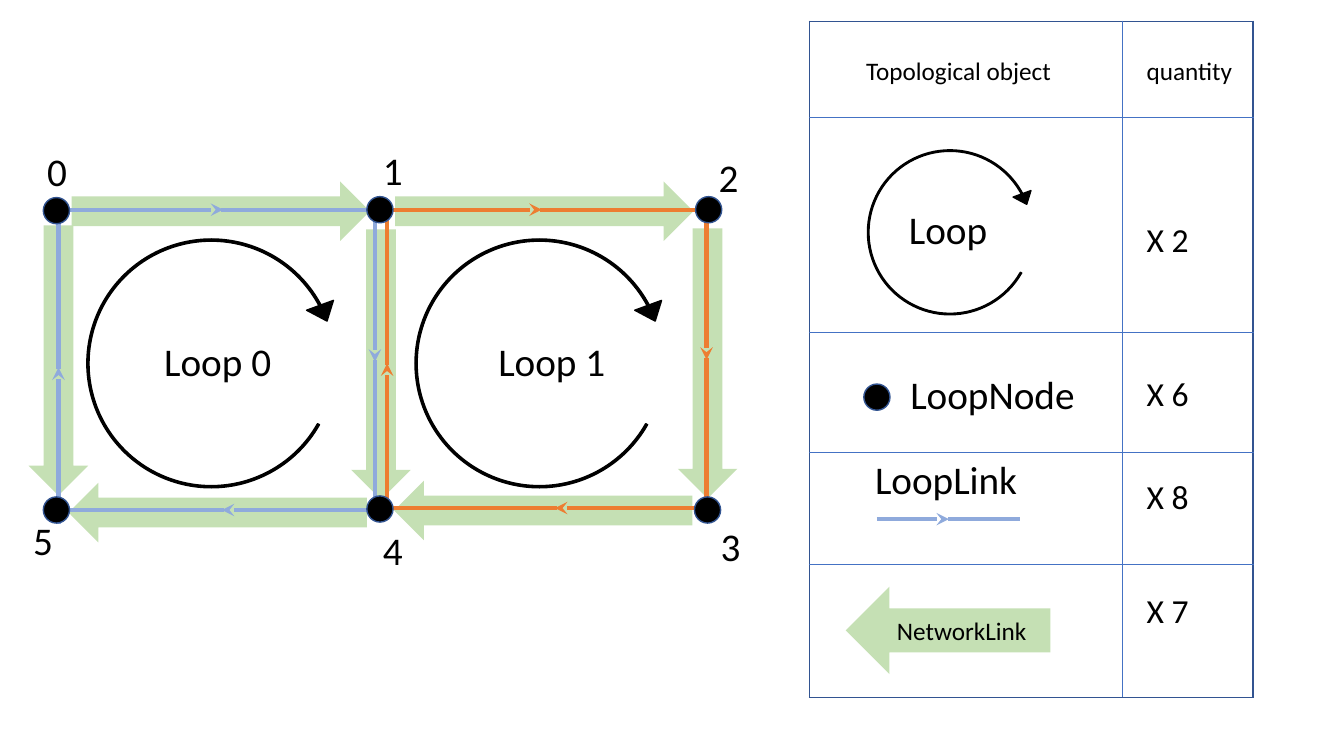
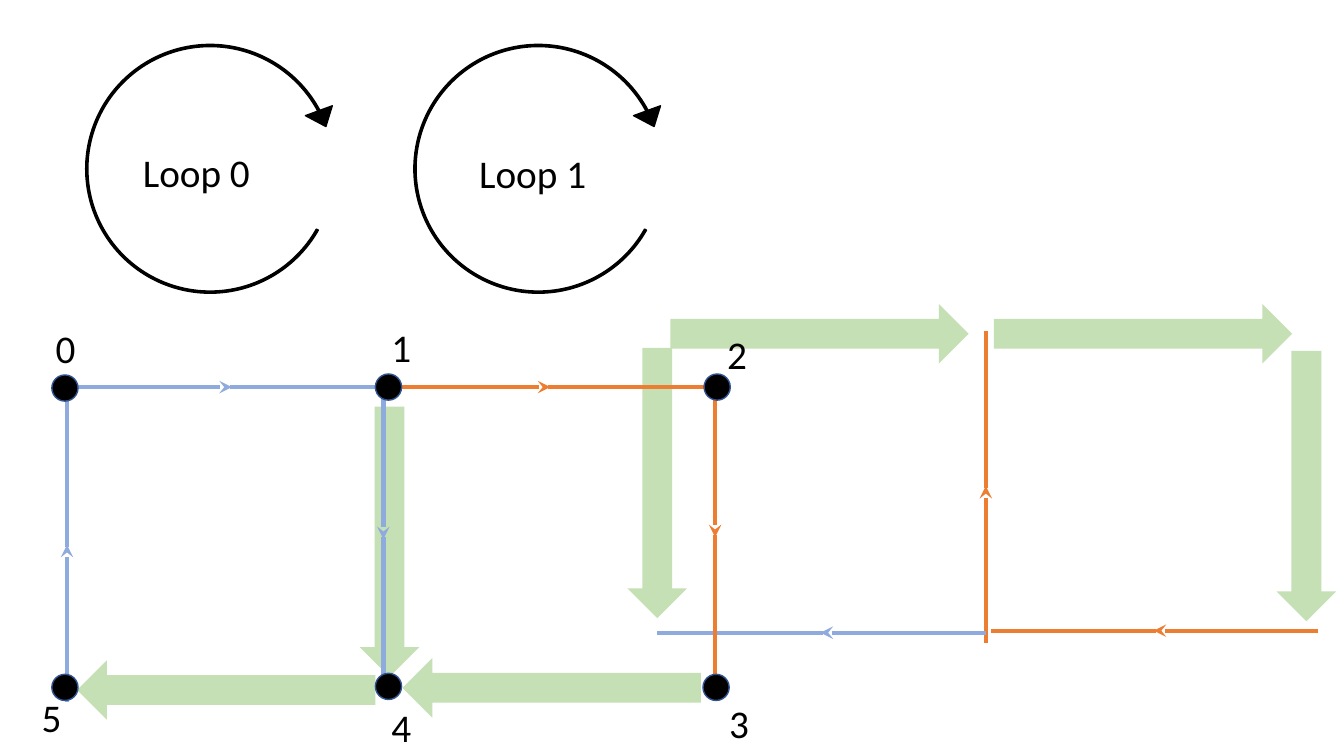
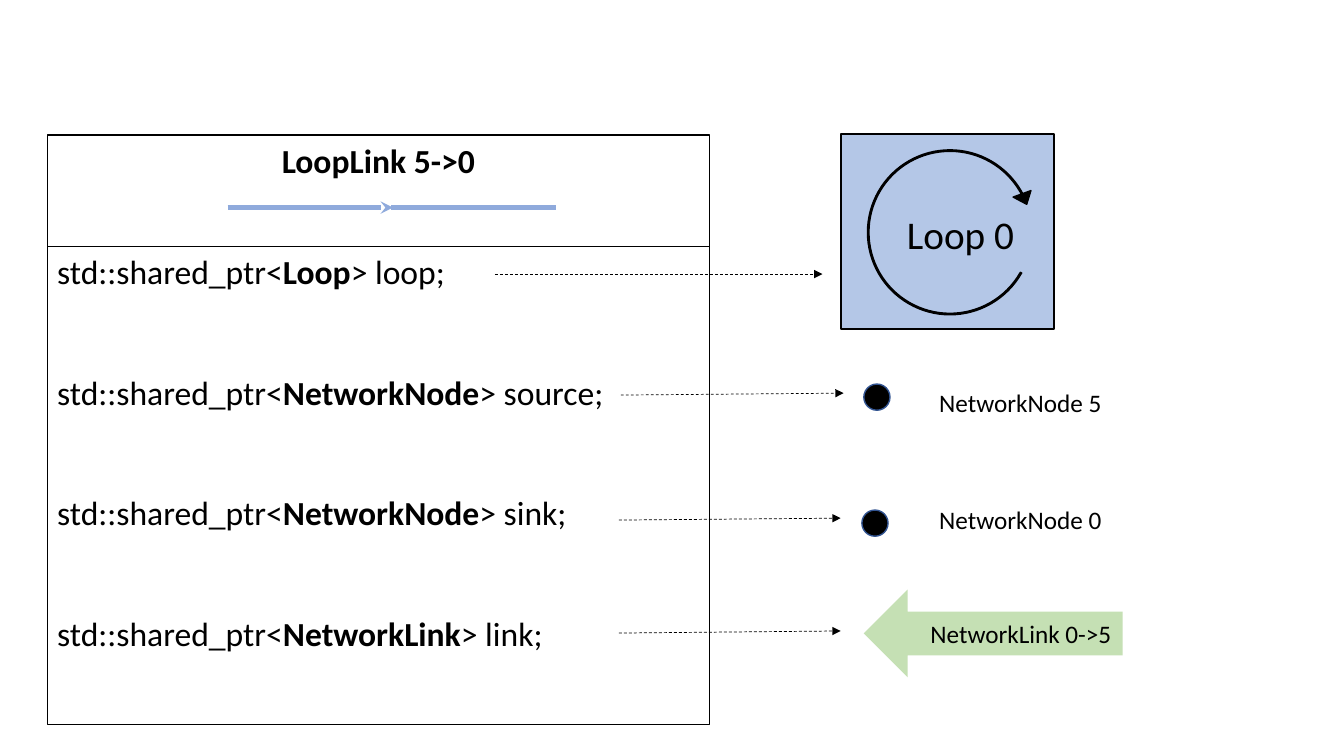
from dataclasses import dataclass

from lxml import etree
from pptx import Presentation
from pptx.dml.color import RGBColor
from pptx.enum.dml import MSO_LINE
from pptx.enum.shapes import MSO_CONNECTOR, MSO_SHAPE
from pptx.enum.text import MSO_ANCHOR, PP_ALIGN
from pptx.oxml.ns import qn
from pptx.util import Pt

STRAIGHT = MSO_CONNECTOR.STRAIGHT
RECTANGLE, OVAL = MSO_SHAPE.RECTANGLE, MSO_SHAPE.OVAL
CIRCULAR = MSO_SHAPE.CIRCULAR_ARROW
RIGHT, LEFT, DOWN = MSO_SHAPE.RIGHT_ARROW, MSO_SHAPE.LEFT_ARROW, MSO_SHAPE.DOWN_ARROW
TOP, MIDDLE = MSO_ANCHOR.TOP, MSO_ANCHOR.MIDDLE
ALIGN_LEFT, ALIGN_CENTER = PP_ALIGN.LEFT, PP_ALIGN.CENTER
DASH = MSO_LINE.DASH


@dataclass(frozen=True)
class Theme:
    """Colours, type sizes and common measures."""
    font: str = "Calibri"
    ink: str = "000000"
    flow: str = "C5E0B4"
    first_loop: str = "8FAADC"
    second_loop: str = "ED7D31"
    outline: str = "325491"
    grid: str = "4472C4"
    panel: str = "B4C7E7"
    large: float = 28
    medium: float = 24
    small: float = 18
    link_width: float = 3
    node_size: float = 18.7
    flow_breadth: float = 42.5


@dataclass(frozen=True)
class Box:
    """A rectangle in points."""
    left: float
    top: float
    width: float = 0
    height: float = 0

    def inside(self, left, top, width=0, height=0):
        """Return a box placed relative to this one."""
        return Box(self.left + left, self.top + top, width, height)

    def lengths(self):
        """Return the four sides as lengths."""
        return [Pt(value) for value in (self.left, self.top, self.width, self.height)]


THEME = Theme()
BLUE, ORANGE = THEME.first_loop, THEME.second_loop
LOOP_ADJUSTMENTS = (0.008, 4.825, 199.14, 17.735, 0.052)
LOOP_SIZE, SMALL_LOOP_SIZE = 196.6, 130.3

FLOWS = {
    "1-4": (DOWN, 210.6, 13.3, 193),
    "2-3": (DOWN, 443.9, 12.6, 193),
    "0-5": (DOWN, -19.8, 10.4, 193),
    "4-5": (LEFT, 8.7, 194.4, 213.1),
    "3-4": (LEFT, 241.2, 192.9, 213.1),
    "1-2": (RIGHT, 241.9, -20.9, 213.1),
    "0-1": (RIGHT, 10.8, -20.9, 213.1),
}
LINKS = {
    "0>1": (BLUE, (1.5, -0.7), (235.5, -0.7)),
    "1>2": (ORANGE, (229, -0.7), (463, -0.7)),
    "1>4": (BLUE, (227.5, 0.7), (227.5, 213.8)),
    "4>1": (ORANGE, (236.2, 221), (236.2, -1.5)),
    "4>5": (BLUE, (236.2, 213.8), (1.5, 213.8)),
    "3>4": (ORANGE, (473.8, 212.4), (239.8, 212.4)),
    "2>3": (ORANGE, (464.4, -0.7), (464.4, 212.4)),
    "5>0": (BLUE, (1.5, 223.9), (1.5, 1.4)),
}
NODES = (
    ((0, 0), (-13.7, -49)),
    ((231.1, -0.7), (226.1, -49.7)),
    ((465.9, -0.7), (465.9, -44.7)),
    ((465.1, 213.8), (467.3, 218.9)),
    ((231.1, 213.1), (226.1, 221.7)),
    ((0, 213.8), (-23.7, 214.5)),
)
LEGEND_COLUMNS = (223.2, 93.6)
LEGEND_ROWS = (
    (68.4, ("Topological object", 40.5, 25), ("quantity", 17.6, 25), THEME.small),
    (154.1, None, ("X 2", 17.6, 74), THEME.medium),
    (85.7, ("LoopNode", 72, 28), ("X 6", 17.6, 30), THEME.medium),
    (79.9, ("LoopLink", 46.8, 3.6), ("X 8", 17.6, 18), THEME.medium),
    (95, None, ("X 7", 17.6, 19.4), THEME.medium),
)
MEMBERS = (("Loop", "loop"), ("NetworkNode", "source"),
           ("NetworkNode", "sink"), ("NetworkLink", "link"))
POINTERS = (
    ((353.5, 195.8), (587.5, 195.8)),
    ((443.5, 282.2), (602.6, 280.8)),
    ((442.1, 371.5), (600.5, 370.1)),
    ((442.1, 452.2), (600.5, 450.7)),
)


def color(code):
    """Turn a hex code into a colour."""
    return RGBColor.from_string(code)


def add_span(para, text, size, bold=False):
    """Add one styled run."""
    span = para.add_run()
    span.text = text
    span.font.name = THEME.font
    span.font.size = Pt(size)
    span.font.bold = bold
    span.font.color.rgb = color(THEME.ink)


def add_label(page, box, text, size):
    """Add a plain text box."""
    frame = page.shapes.add_textbox(*box.lengths()).text_frame
    frame.word_wrap = True
    add_span(frame.paragraphs[0], text, size)


def add_figure(page, kind, box, fill=None, line=None, width=1):
    """Add a preset shape without a shadow."""
    figure = page.shapes.add_shape(kind, *box.lengths())
    figure.shadow.inherit = False
    if fill:
        figure.fill.solid()
        figure.fill.fore_color.rgb = color(fill)
    else:
        figure.fill.background()
    if line:
        figure.line.color.rgb = color(line)
        figure.line.width = Pt(width)
    else:
        figure.line.fill.background()
    return figure


def add_line(shapes, start, end, code, width, head=None, dash=None):
    """Add a straight connector with an optional arrowhead at its end."""
    line = shapes.add_connector(STRAIGHT, *(Pt(value) for value in (*start, *end)))
    line.line.color.rgb = color(code)
    line.line.width = Pt(width)
    if dash:
        line.line.dash_style = dash
    properties = line.element.spPr
    if head:
        etree.SubElement(properties.find(qn("a:ln")), qn("a:tailEnd"), type=head)
    etree.SubElement(properties, qn("a:effectLst"))


def add_link(page, origin, start, end, code):
    """Draw a loop link as two halves with an arrowhead in the middle."""
    def along(share):
        return tuple(base + a + (b - a) * share
                     for base, a, b in zip((origin.left, origin.top), start, end))

    shapes = page.shapes.add_group_shape().shapes
    add_line(shapes, along(0), along(0.503), code, THEME.link_width, "stealth")
    add_line(shapes, along(0.497), along(1), code, THEME.link_width)


def add_node(page, center):
    """Draw a node around a centre point."""
    size = THEME.node_size
    box = center.inside(-size / 2, -size / 2, size, size)
    add_figure(page, OVAL, box, THEME.ink, THEME.outline)


def add_loop(page, box, text, label_left, label_top):
    """Draw a circular arrow and its name."""
    add_label(page, box.inside(label_left, label_top, 119.5, 41), text, THEME.large)
    arrow = add_figure(page, CIRCULAR, box, THEME.ink, THEME.ink)
    for index, value in enumerate(LOOP_ADJUSTMENTS):
        arrow.adjustments[index] = value


def add_named_flow(page, box, text, inset):
    """Draw a network link arrow that carries its name."""
    frame = add_figure(page, LEFT, box, THEME.flow).text_frame
    frame.word_wrap = False
    frame.vertical_anchor = MIDDLE
    frame.margin_left = Pt(inset)
    frame.margin_right = frame.margin_top = frame.margin_bottom = Pt(0)
    frame.paragraphs[0].alignment = ALIGN_LEFT
    add_span(frame.paragraphs[0], text, THEME.small)


def add_network(page, home, away=None, moved=()):
    """Draw the network at home, with the moved parts placed at away."""
    def origin(name):
        return away if name in moved else home

    for name, (kind, left, top, length) in FLOWS.items():
        size = (THEME.flow_breadth, length) if kind == DOWN else (length, THEME.flow_breadth)
        add_figure(page, kind, origin(name).inside(left, top, *size), THEME.flow)
    for name, (code, start, end) in LINKS.items():
        add_link(page, origin(name), start, end, code)
    for number, (center, label) in enumerate(NODES):
        add_node(page, home.inside(*center))
        add_label(page, home.inside(*label, 36, 41), str(number), THEME.large)


def set_borders(cell, outer_sides):
    """Give a cell its grid lines, heavier on the outer sides."""
    properties = cell._tc.get_or_add_tcPr()
    for index, side in enumerate("LRTB"):
        code, width = (THEME.outline, 1) if side in outer_sides else (THEME.grid, 0.5)
        edge = etree.Element(qn("a:ln" + side), w=str(Pt(width)))
        fill = etree.SubElement(edge, qn("a:solidFill"))
        etree.SubElement(fill, qn("a:srgbClr"), val=code)
        properties.insert(index, edge)


def add_legend_table(page, box):
    """Add the table of topological objects and their quantities."""
    table = page.shapes.add_table(len(LEGEND_ROWS), len(LEGEND_COLUMNS), *box.lengths()).table
    table.first_row = table.horz_banding = False
    for column, width in zip(table.columns, LEGEND_COLUMNS):
        column.width = Pt(width)
    last = len(LEGEND_ROWS) - 1
    for row, (height, name, quantity, size) in enumerate(LEGEND_ROWS):
        table.rows[row].height = Pt(height)
        for column, content in enumerate((name, quantity)):
            cell = table.cell(row, column)
            cell.fill.background()
            cell.vertical_anchor = TOP
            cell.margin_right = cell.margin_bottom = Pt(0)
            outer = "LR"[column] + ("T" if row == 0 else "B" if row == last else "")
            set_borders(cell, outer)
            if content:
                text, left, top = content
                cell.margin_left, cell.margin_top = Pt(left), Pt(top)
                is_name = column == 0 and row > 0
                add_span(cell.text_frame.paragraphs[0], text, THEME.large if is_name else size)


def add_legend(page, box):
    """Draw the legend table with its symbols."""
    add_legend_table(page, box)
    add_loop(page, box.inside(35.2, 85.7, SMALL_LOOP_SIZE, SMALL_LOOP_SIZE), "Loop", 28.8, 42.5)
    add_node(page, box.inside(48.2, 268.6))
    add_link(page, box, (48.2, 355.7), (150.4, 355.7), BLUE)
    add_named_flow(page, box.inside(25.9, 403.9, 146.2, 62.6), "NetworkLink", 21)


def add_loops(page, box, label_offsets):
    """Draw the two loops side by side."""
    for number, offset in enumerate(label_offsets):
        place = box.inside(234.4 * number, 0, LOOP_SIZE, LOOP_SIZE)
        add_loop(page, place, f"Loop {number}", *offset)


def add_class_box(page, box, header_height):
    """Draw the class diagram of a loop link."""
    body = box.inside(0, header_height, box.width, box.height - header_height)
    frame = add_figure(page, RECTANGLE, body, line=THEME.ink).text_frame
    frame.word_wrap = True
    frame.vertical_anchor = TOP
    for index, (kind, member) in enumerate(MEMBERS):
        para = frame.add_paragraph() if index else frame.paragraphs[0]
        para.alignment = ALIGN_LEFT
        para.space_after = Pt(57.3)
        add_span(para, "std::shared_ptr<", THEME.medium)
        add_span(para, kind, THEME.medium, True)
        add_span(para, f"> {member};", THEME.medium)
    header = box.inside(0, 0, box.width, header_height)
    title = add_figure(page, RECTANGLE, header, line=THEME.ink).text_frame
    title.vertical_anchor = TOP
    title.paragraphs[0].alignment = ALIGN_CENTER
    add_span(title.paragraphs[0], "LoopLink 5->0", THEME.medium, True)
    add_link(page, box, (128.9, 51.8), (363.6, 51.8), BLUE)


def add_targets(page, box):
    """Draw the objects that the class members point to."""
    add_figure(page, RECTANGLE, box.inside(0, 0, 152.6, 139), THEME.panel, THEME.ink, 1.5)
    add_loop(page, box.inside(12.9, 5, SMALL_LOOP_SIZE, SMALL_LOOP_SIZE), "Loop 0", 27.4, 46.1)
    for name, center, label_top in (("NetworkNode 5", (25.9, 187.9), 177.1),
                                    ("NetworkNode 0", (24.5, 277.9), 260.6)):
        add_node(page, box.inside(*center))
        add_label(page, box.inside(63.3, label_top, 239, 29), name, THEME.small)
    add_named_flow(page, box.inside(16.5, 325.4, 185, 62.6), "NetworkLink 0->5", 32)


def main():
    """Build and save the deck."""
    deck = Presentation()
    deck.slide_width, deck.slide_height = Pt(960), Pt(540)
    overview, pieces, members = (deck.slides.add_slide(deck.slide_layouts[6]) for _ in range(3))

    add_network(overview, Box(40.3, 150.5))
    add_loops(overview, Box(52.6, 161.3), ((57.6, 76.3), (61.9, 76.3)))
    add_legend(overview, Box(578.2, 15.1, sum(LEGEND_COLUMNS), sum(row[0] for row in LEGEND_ROWS)))

    add_network(pieces, Box(46.4, 277.2), Box(468, 238.1),
                ("2-3", "0-5", "1-2", "0-1", "4>1", "4>5", "3>4"))
    add_loops(pieces, Box(51.8, 22.3), ((43.2, 79.9), (49, 80.6)))

    add_class_box(members, Box(33.8, 96.5, 473, 421.2), 79.5)
    add_targets(members, Box(600.5, 95.8))
    for start, end in POINTERS:
        add_line(members.shapes, start, end, THEME.ink, 0.5, "triangle", DASH)

    deck.save("out.pptx")


if __name__ == "__main__":
    main()
